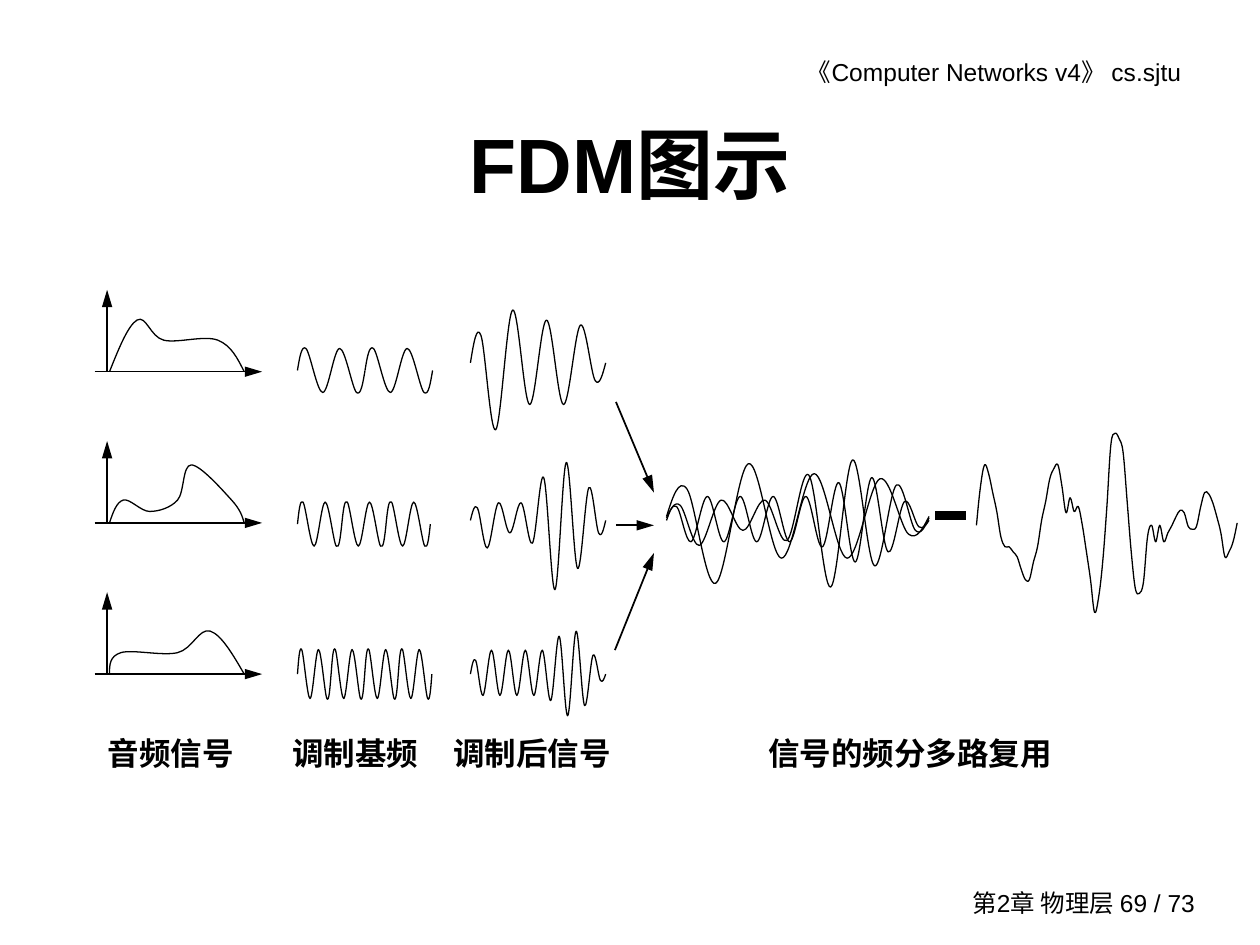
from itertools import accumulate

from lxml.etree import SubElement
from pptx import Presentation
from pptx.dml.color import RGBColor
from pptx.enum.shapes import MSO_CONNECTOR as CONNECTOR
from pptx.enum.text import MSO_ANCHOR as ANCHOR, PP_ALIGN as ALIGN
from pptx.oxml.ns import qn
from pptx.util import Pt

BLACK = "000000"


def color(target, value):
    target.rgb = RGBColor.from_string(value)


def draw_curve(slide, points):
    tangents = [((c[0] - a[0]) / 6, (c[1] - a[1]) / 6)
                for a, c in zip(points, points[2:])]
    controls = []
    for i, ((x0, y0), (x1, y1)) in enumerate(zip(points, points[1:])):
        if i > 0:
            leave = (x0 + tangents[i - 1][0], y0 + tangents[i - 1][1])
        if i < len(tangents):
            arrive = (x1 - tangents[i][0], y1 - tangents[i][1])
        else:
            arrive = ((leave[0] + x1) / 2, (leave[1] + y1) / 2)
        if i == 0:
            leave = ((x0 + arrive[0]) / 2, (y0 + arrive[1]) / 2)
        controls += [leave, arrive, (x1, y1)]

    builder = slide.shapes.build_freeform(Pt(points[0][0]), Pt(points[0][1]))
    builder.add_line_segments([(Pt(x), Pt(y)) for x, y in controls], close=False)
    curve = builder.convert_to_shape()
    curve.shadow.inherit = False
    curve.fill.background()
    color(curve.line.color, BLACK)
    curve.line.width = Pt(0.75)

    outline = next(curve.element.iter(qn("a:path")))
    segments = outline.findall(qn("a:lnTo"))
    for i in range(0, len(segments), 3):
        bezier = SubElement(outline, qn("a:cubicBezTo"))
        for segment in segments[i:i + 3]:
            bezier.append(segment[0])
            outline.remove(segment)


prs = Presentation()
prs.slide_width, prs.slide_height = Pt(720), Pt(540)
slide = prs.slides.add_slide(prs.slide_layouts[5])

title = slide.shapes.title
title.left, title.top, title.width, title.height = Pt(54), Pt(48), Pt(612), Pt(90)

texts = [
    (title, "FDM图示", 44, True, ALIGN.CENTER, ANCHOR.MIDDLE),
]
for text, left, top, width, height, size, bold, align, anchor in [
    ("《Computer Networks v4》 cs.sjtu", 380, 29, 302, 25, 14, False, ALIGN.RIGHT, ANCHOR.TOP),
    ("第2章 物理层 69 / 73", 527, 504, 163, 24, 14, False, ALIGN.RIGHT, ANCHOR.MIDDLE),
    ("音频信号", 54.5, 416, 91, 29, 18, True, ALIGN.LEFT, ANCHOR.TOP),
    ("调制基频", 160, 416, 91, 29, 18, True, ALIGN.LEFT, ANCHOR.TOP),
    ("调制后信号", 252, 416, 107, 29, 18, True, ALIGN.LEFT, ANCHOR.TOP),
    ("信号的频分多路复用", 432, 416, 198, 29, 18, True, ALIGN.LEFT, ANCHOR.TOP),
]:
    box = slide.shapes.add_textbox(Pt(left), Pt(top), Pt(width), Pt(height))
    texts.append((box, text, size, bold, align, anchor))

for box, text, size, bold, align, anchor in texts:
    frame = box.text_frame
    frame.word_wrap = True
    frame.vertical_anchor = anchor
    paragraph = frame.paragraphs[0]
    paragraph.alignment = align
    run = paragraph.add_run()
    run.text = text
    run.font.name = "Arial"
    run.font.size = Pt(size)
    run.font.bold = bold
    color(run.font.color, BLACK)

axis_levels = [212.4, 298.8, 385.2]
audio_spectra = [
    [(0, 0), (15.8, -29.5), (31, -18), (61.9, -18), (77, 0)],
    [(0, 0), (7.9, -13), (23, -6.5), (38.9, -13), (46.8, -33.1), (69.8, -13), (77, 0)],
    [(0, 0), (6.5, -12.2), (38.9, -12.2), (57.6, -24.5), (77, 0)],
]
for level, spectrum in zip(axis_levels, audio_spectra):
    draw_curve(slide, [(62.6 + x, level + y) for x, y in spectrum])

cycle = [(0, 0), (1 / 8, -1), (3 / 8, 1), (5 / 8, -1), (7 / 8, 1), (1, 0)]
for level, count, length, amplitude in [
    (211.7, 2, 38.6, 12.6),
    (299.5, 3, 25.3, 12.6),
    (385.2, 4, 19.2, 14),
]:
    for i in range(count):
        draw_curve(slide, [(170 + (i + x) * length, level + y * amplitude)
                           for x, y in cycle])

modulated_left, modulated_width = 268.8, 77.3
combined_left, combined_width = 380.9, 150
for level, combined_level, swings in [
    (207.4, 295.2, [0, -15.8, 38.2, -30.2, 23.8, -24.5, 23.8, -21.6, 10.1, 0]),
    (297.4, 295.9, [0, -7.2, 15.8, -10.1, 7.2, -10.1, 13, -24.5, 39.6, -33.1,
                    27.4, -18.7, 7.2, 0]),
    (385.2, 297.4, [0, -7.9] + [12.2, -13.7] * 4
                   + [15.1, -21.6, 23.8, -24.5, 18, -10.8, 3.6, 0]),
]:
    gaps = [0.62, 0.87] + [1] * (len(swings) - 5) + [0.87, 0.62]
    places = [x / sum(gaps) for x in accumulate(gaps, initial=0)]
    for left, width, middle in [
        (modulated_left, modulated_width, level),
        (combined_left, combined_width, combined_level),
    ]:
        draw_curve(slide, [(left + x * width, middle + y)
                           for x, y in zip(places, swings)])

multiplexed = [
    0, -22.3, -34.6, -29.5, -18.7, -7.9, 6.5, 12.2, 12.2, 15.1, 18, 25.2, 31,
    31, 20.9, 12.2, -2.9, -13.7, -26.6, -32.4, -34.6, -22.3, -7.2, -15.8, -7.9,
    -10.8, 0, 15.1, 31, 49.7, 41, 20.9, -10.1, -46.1, -52.6, -49.7, -41.8,
    -13.7, 15.1, 36, 38.9, 32.4, 6.5, 0, 9.4, 0, 9.4, 4.3, 0, -5, -8.6, -7.2,
    0.7, 2.2, 0.7, -10.1, -18.7, -18, -13, -5, 4.3, 18, 15.1, 9.4, -1.4,
]
step = 149 / (len(multiplexed) - 1)
draw_curve(slide, [(558 + i * step, 300.2 + y) for i, y in enumerate(multiplexed)])

lines = [
    (352, 229.7, 373.7, 281.5, 1, True),
    (352, 300.2, 373.7, 300.2, 1, True),
    (351.4, 371.5, 373.7, 316, 1, True),
    (534.5, 294.5, 552, 294.5, 5, False),
]
for level in axis_levels:
    lines.append((61.2, level, 61.2, level - 46.8, 0.75, True))
    lines.append((54, level, 149.8, level, 0.75, True))

for x0, y0, x1, y1, weight, has_arrow in lines:
    connector = slide.shapes.add_connector(CONNECTOR.STRAIGHT, Pt(x0), Pt(y0), Pt(x1), Pt(y1))
    color(connector.line.color, BLACK)
    connector.line.width = Pt(weight)
    if has_arrow:
        SubElement(connector.line._get_or_add_ln(), qn("a:tailEnd"),
                   type="triangle", w="med", len="lg")
    SubElement(connector.element.spPr, qn("a:effectLst"))

prs.save("out.pptx")
